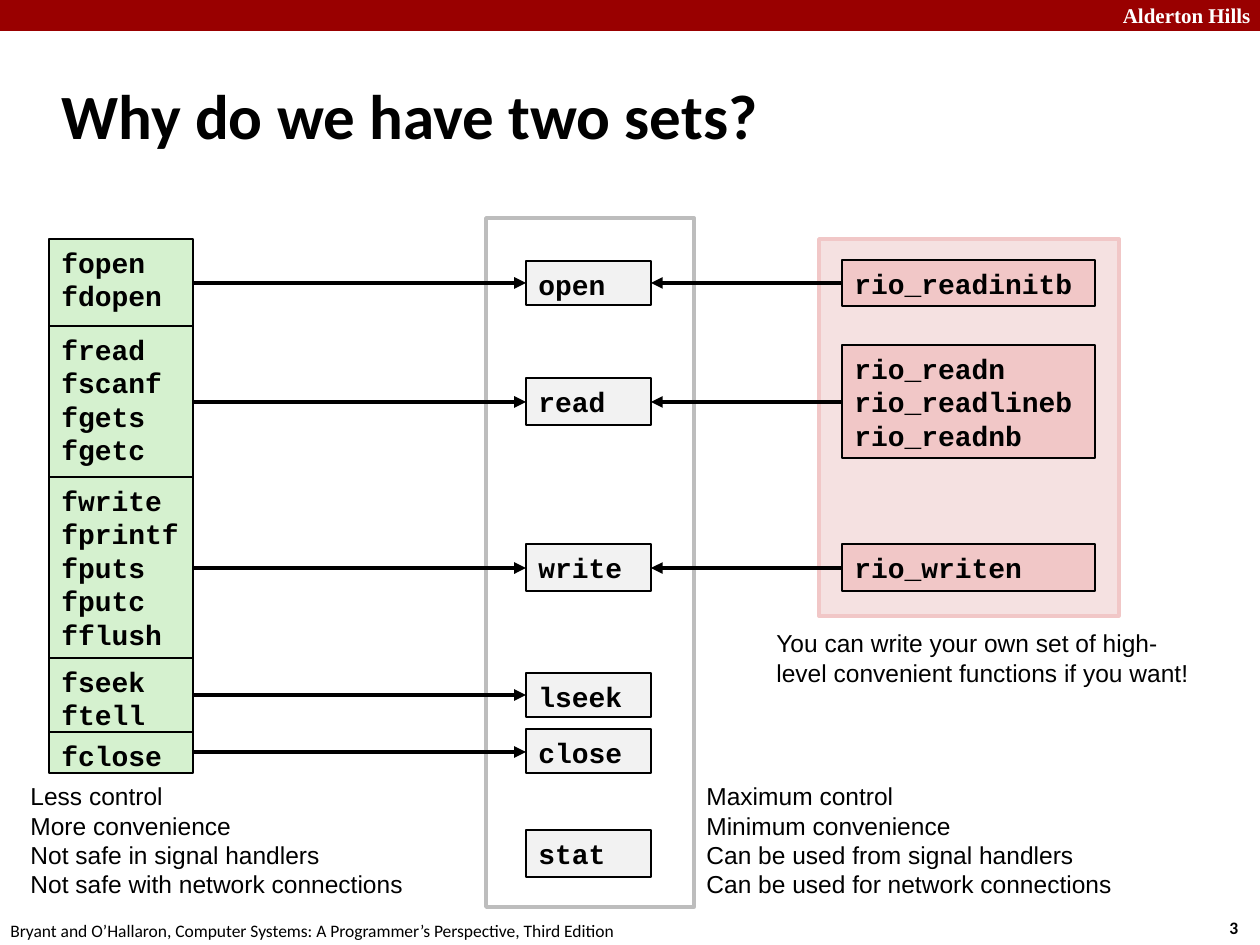
from dataclasses import dataclass

from lxml.etree import SubElement
from pptx import Presentation
from pptx.dml.color import RGBColor
from pptx.enum.shapes import MSO_CONNECTOR, MSO_SHAPE
from pptx.enum.text import MSO_ANCHOR, PP_ALIGN
from pptx.oxml.ns import qn
from pptx.util import Pt

PX_PER_INCH = 126


@dataclass(frozen=True)
class Theme:
    black: str = "000000"
    white: str = "FFFFFF"
    banner: str = "990000"
    standard: str = "D5F1CF"
    system: str = "F2F2F2"
    system_frame: str = "BDBDBD"
    robust: str = "F1C7C7"
    robust_frame: str = "F5E1E1"
    code_font: str = "Courier New"
    note_font: str = "Arial"
    main_font: str = "Calibri"
    header_font: str = "Times New Roman"
    title_size: int = 36
    code_size: int = 16
    note_size: int = 14
    header_size: int = 12
    footer_size: int = 10
    leading: float = 1.2
    thin: float = 0.75
    frame: float = 2
    arrow: float = 2.25


@dataclass(frozen=True)
class Column:
    left: int
    width: int
    fill: str

    @property
    def right(self) -> int:
        return self.left + self.width


@dataclass(frozen=True)
class Block:
    column: Column
    top: int
    height: int
    names: str


@dataclass(frozen=True)
class Note:
    left: int
    top: int
    height: int
    text: str


THEME = Theme()
STANDARD = Column(49, 144, THEME.standard)
SYSTEM = Column(526, 125, THEME.system)
ROBUST = Column(842, 253, THEME.robust)

BLOCKS = [
    Block(STANDARD, 239, 87, "fopen\nfdopen"),
    Block(STANDARD, 326, 151, "fread\nfscanf\nfgets\nfgetc"),
    Block(STANDARD, 477, 181, "fwrite\nfprintf\nfputs\nfputc\nfflush"),
    Block(STANDARD, 658, 74, "fseek\nftell"),
    Block(STANDARD, 732, 41, "fclose"),
    Block(SYSTEM, 261, 44, "open"),
    Block(SYSTEM, 378, 47, "read"),
    Block(SYSTEM, 544, 47, "write"),
    Block(SYSTEM, 673, 44, "lseek"),
    Block(SYSTEM, 729, 44, "close"),
    Block(SYSTEM, 830, 47, "stat"),
    Block(ROBUST, 260, 46, "rio_readinitb"),
    Block(ROBUST, 345, 113, "rio_readn\nrio_readlineb\nrio_readnb"),
    Block(ROBUST, 544, 47, "rio_writen"),
]
STANDARD_CALLS = [283, 402, 568, 695, 752]
ROBUST_CALLS = STANDARD_CALLS[:3]

NOTES = [
    Note(694, 775, 131, "Maximum control\nMinimum convenience\n"
         "Can be used from signal handlers\nCan be used for network connections"),
    Note(18, 775, 131, "Less control\nMore convenience\n"
         "Not safe in signal handlers\nNot safe with network connections"),
    Note(764, 622, 72, "You can write your own set of high-level convenient functions if you want!"),
]


def px(length: int) -> int:
    return round(length * 914400 / PX_PER_INCH)


def write_text(box, text: str, *, font: str, size: int, color: str = THEME.black,
               bold: bool = False, leading: float | None = None,
               align=PP_ALIGN.LEFT, anchor=MSO_ANCHOR.TOP, wrap: bool = True) -> None:
    frame = box.text_frame
    frame.word_wrap = wrap
    frame.vertical_anchor = anchor
    for index, line in enumerate(text.split("\n")):
        para = frame.paragraphs[0] if index == 0 else frame.add_paragraph()
        para.alignment = align
        if leading:
            para.line_spacing = Pt(size * leading)
        span = para.add_run()
        span.text = line
        span.font.name = font
        span.font.size = Pt(size)
        span.font.bold = bold
        span.font.color.rgb = RGBColor.from_string(color)


def add_text(page, left: int, top: int, width: int, height: int, text: str, **text_format) -> None:
    box = page.shapes.add_textbox(px(left), px(top), px(width), px(height))
    write_text(box, text, **text_format)


def add_rectangle(page, left: int, top: int, width: int, height: int, fill: str,
                  line: str | None = None, weight: float = THEME.thin):
    box = page.shapes.add_shape(MSO_SHAPE.RECTANGLE, px(left), px(top), px(width), px(height))
    box.shadow.inherit = False
    box.fill.solid()
    box.fill.fore_color.rgb = RGBColor.from_string(fill)
    if line:
        box.line.color.rgb = RGBColor.from_string(line)
        box.line.width = Pt(weight)
    else:
        box.line.fill.background()
    return box


def add_block(page, block: Block) -> None:
    column = block.column
    box = add_rectangle(page, column.left, block.top, column.width, block.height,
                        column.fill, THEME.black)
    write_text(box, block.names, font=THEME.code_font, size=THEME.code_size,
               bold=True, leading=THEME.leading)


def add_arrow(page, start: int, end: int, height: int) -> None:
    arrow = page.shapes.add_connector(MSO_CONNECTOR.STRAIGHT, px(start), px(height),
                                      px(end), px(height))
    arrow.line.color.rgb = RGBColor.from_string(THEME.black)
    arrow.line.width = Pt(THEME.arrow)
    SubElement(arrow.line._get_or_add_ln(), qn("a:tailEnd"), type="triangle")
    SubElement(arrow._element.spPr, qn("a:effectLst"))


def main() -> None:
    deck = Presentation()
    deck.slide_width, deck.slide_height = px(1260), px(945)
    page = deck.slides.add_slide(deck.slide_layouts[6])

    add_rectangle(page, 0, 0, 1260, 31, THEME.banner)
    add_text(page, 1063, -4, 200, 38, "Alderton Hills", font=THEME.header_font,
             size=THEME.header_size, color=THEME.white, bold=True, align=PP_ALIGN.RIGHT)
    add_text(page, 1217, 911, 47, 34, "3", font=THEME.main_font,
             size=THEME.footer_size, bold=True)
    add_text(page, -2, 914, 640, 34,
             "Bryant and O’Hallaron, Computer Systems: A Programmer’s Perspective, Third Edition",
             font=THEME.main_font, size=THEME.footer_size)
    add_text(page, 49, 62, 1046, 105, "Why do we have two sets?", font=THEME.main_font,
             size=THEME.title_size, bold=True, anchor=MSO_ANCHOR.MIDDLE)

    add_rectangle(page, 819, 239, 300, 377, THEME.robust_frame, THEME.robust, THEME.frame)
    add_rectangle(page, 486, 218, 208, 689, THEME.white, THEME.system_frame, THEME.frame)
    for block in BLOCKS:
        add_block(page, block)
    for height in STANDARD_CALLS:
        add_arrow(page, STANDARD.right, SYSTEM.left, height)
    for height in ROBUST_CALLS:
        add_arrow(page, ROBUST.left, SYSTEM.right, height)
    for note in NOTES:
        add_text(page, note.left, note.top, 447, note.height, note.text,
                 font=THEME.note_font, size=THEME.note_size, leading=THEME.leading)

    deck.save("out.pptx")


if __name__ == "__main__":
    main()
